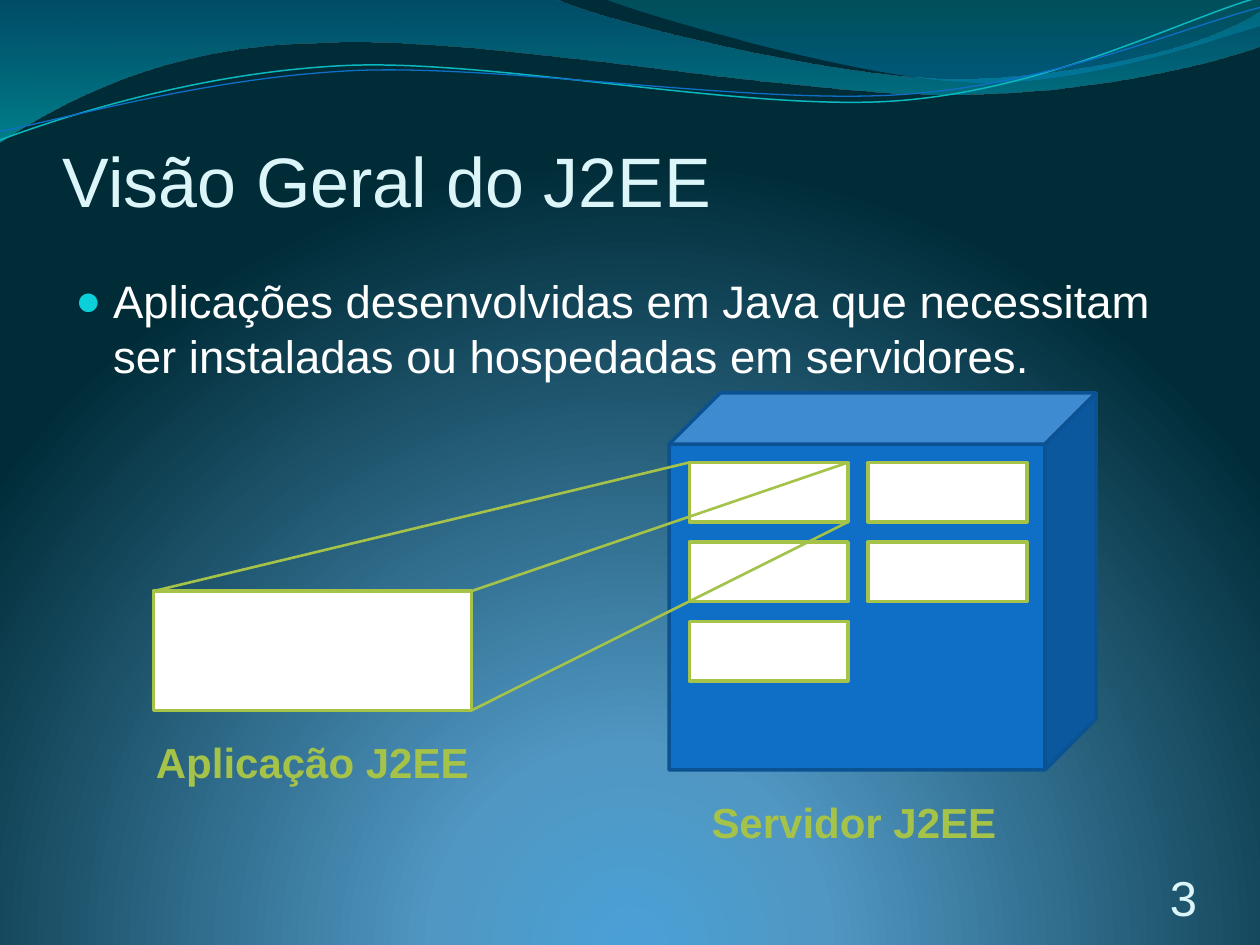
from dataclasses import dataclass
from typing import NamedTuple
from lxml.etree import SubElement
from pptx import Presentation
from pptx.dml.color import RGBColor
from pptx.enum.shapes import MSO_CONNECTOR, MSO_SHAPE
from pptx.enum.text import MSO_ANCHOR, MSO_AUTO_SIZE, PP_ALIGN
from pptx.oxml.ns import qn
from pptx.util import Pt


@dataclass(frozen=True)
class Theme:
    font: str = "Arial"
    white: str = "FFFFFF"
    pale: str = "DBF5F9"
    green: str = "A5C249"
    blue: str = "0F6FC6"
    navy: str = "0B5292"
    aqua: str = "0AB8BF"
    bullet: str = "0BD0D9"
    glow: tuple = ((0, "4AA0D6", 100), (25, "5097C3", 100), (100, "002C38", 100))
    wide: tuple = ((0, "0074A1", 45), (100, "00C6CF", 55))
    crest: tuple = ((0, "00A1A9", 30), (80, "008BBF", 45))
    head: int = 40
    body: int = 26
    label: int = 24
    page: int = 28


class Box(NamedTuple):
    x: float
    y: float
    w: float
    h: float

    def corner(self, right, low):
        return self.x + right * self.w, self.y + low * self.h

    def pts(self):
        return [Pt(v) for v in self]


T = Theme()

# Each outline is a start point, then steps: one point is a line, three are a curve.
WIDE = [(0, -0.7), [(317, -0.7)], [(343, 12), (478, 45), (546, 45)],
        [(614, 45), (690, 27), (720, 6.5)], [(720.7, 26)],
        [(708, 32), (626, 55), (537, 54)], [(448, 54), (275, 20), (185, 24.5)],
        [(93, 25), (33, 60), (-0.7, 81.4)]]
CREST = [(345, -0.7), [(366, 8), (491, 45), (554, 47)],
         [(616, 50), (692, 23), (720, 15)], [(720, 0)]]
UPPER = [(0, 80), [(35, 67), (114, 41), (199, 37.4)],
         [(284, 34), (427, 64), (513, 57.6)], [(600, 51), (675, 11), (719, -1.4)]]
LOWER = [(0, 75), [(34, 69), (118, 44), (204, 40.3)],
         [(290, 37), (430, 60), (516, 54)], [(602, 48), (678, 15), (720, 4.3)]]


def color(code):
    return RGBColor.from_string(code)


def blend(fill, root, stops, center=None):
    """Put a gradient in place of the fill: downward, or round if given a center."""
    fill.solid()
    old = root.find(".//" + qn("a:solidFill"))
    grad = old.makeelement(qn("a:gradFill"), {"rotWithShape": "1"})
    group = SubElement(grad, qn("a:gsLst"))
    for place, code, alpha in stops:
        stop = SubElement(group, qn("a:gs"), pos=str(place * 1000))
        tint = SubElement(stop, qn("a:srgbClr"), val=code)
        if alpha < 100:
            SubElement(tint, qn("a:alpha"), val=str(alpha * 1000))
    if center:
        ring = SubElement(grad, qn("a:path"), {"path": "circle"})
        sides = {k: str(v * 1000) for k, v in zip("ltrb", center)}
        SubElement(ring, qn("a:fillToRect"), sides)
    else:
        SubElement(grad, qn("a:lin"), ang="5400000", scaled="1")
    old.getparent().replace(old, grad)


def wave(slide, outline, closed):
    """Build an outline from its end points, then bend the curved steps."""
    first, *steps = outline
    maker = slide.shapes.build_freeform(Pt(first[0]), Pt(first[1]))
    maker.add_line_segments([(Pt(x), Pt(y)) for x, y in (s[-1] for s in steps)],
                            close=closed)
    shape = maker.convert_to_shape()
    shape.shadow.inherit = False
    lines = list(shape.element.iter(qn("a:lnTo")))
    for step, line in zip(steps, lines):
        if len(step) == 3:
            curve = line.makeelement(qn("a:cubicBezTo"), {})
            for x, y in step:
                SubElement(curve, qn("a:pt"), x=str(Pt(x) - shape.left),
                           y=str(Pt(y) - shape.top))
            line.getparent().replace(line, curve)
    return shape


def backdrop(slide):
    blend(slide.background.fill, slide.element, T.glow, (10, 180, 10, 50))
    for outline, stops in ((WIDE, T.wide), (CREST, T.crest)):
        shape = wave(slide, outline, True)
        blend(shape.fill, shape.element, stops)
        shape.line.fill.background()
    for outline, code, width in ((UPPER, T.aqua, 0.85), (LOWER, T.blue, 0.75)):
        shape = wave(slide, outline, False)
        shape.fill.background()
        pen(shape.line, code, width)


def pen(line, code, width):
    line.color.rgb = color(code)
    line.width = Pt(width)


def block(slide, box, fill, edge, kind=MSO_SHAPE.RECTANGLE):
    shape = slide.shapes.add_shape(kind, *box.pts())
    shape.shadow.inherit = False
    shape.fill.solid()
    shape.fill.fore_color.rgb = color(fill)
    pen(shape.line, edge, 2)
    return shape


def write(slide, box, text, size, code, bold=False, inset=None, anchor=MSO_ANCHOR.TOP):
    """Add a one-paragraph text box; inset is left, top, right, bottom."""
    frame = slide.shapes.add_textbox(*box.pts()).text_frame
    frame.word_wrap = True
    frame.vertical_anchor = anchor
    if inset:
        (frame.margin_left, frame.margin_top,
         frame.margin_right, frame.margin_bottom) = [Pt(v) for v in inset]
    para = frame.paragraphs[0]
    para.text = text
    font = para.font
    font.name, font.size, font.bold = T.font, Pt(size), bold
    font.color.rgb = color(code)
    return frame


def point(slide, box, text):
    """Add a bulleted paragraph."""
    para = write(slide, box, text, T.body, T.white).paragraphs[0]
    para.space_before = Pt(T.body * 0.2)
    props = para._p.get_or_add_pPr()
    props.set("marL", str(Pt(21.6)))
    props.set("indent", str(-Pt(21.6)))
    tint = props.makeelement(qn("a:buClr"), {})
    SubElement(tint, qn("a:srgbClr"), val=T.bullet)
    size = props.makeelement(qn("a:buSzPct"), {"val": "95000"})
    face = props.makeelement(qn("a:buFont"), {"typeface": T.font})
    mark = props.makeelement(qn("a:buChar"), {"char": "●"})
    spot = list(props).index(props.find(qn("a:defRPr")))
    props[spot:spot] = [tint, size, face, mark]


def label(slide, box, text):
    frame = write(slide, box, text, T.label, T.green, bold=True)
    frame.word_wrap = False
    frame.auto_size = MSO_AUTO_SIZE.SHAPE_TO_FIT_TEXT


def server(slide, box, count=5):
    """Draw the server with its slots, two a row; return the first slot's box."""
    cube = block(slide, box, T.blue, T.navy, MSO_SHAPE.CUBE)
    cube.adjustments[0] = 0.136
    slots = []
    for i in range(count):
        row, col = divmod(i, 2)
        slots.append(Box(box.x + 11.5 + col * 102.2, box.y + 39.8 + row * 45.4, 90.7, 34))
        block(slide, slots[-1], T.white, T.green)
    label(slide, Box(box.x + 17.1, box.y + box.h + 11.5, 178.6, 36.7), "Servidor J2EE")
    return slots[0]


def client(slide, box, slot):
    """Draw the application and the lines that project it onto its slot."""
    block(slide, box, T.white, T.green)
    for corner in ((0, 0), (1, 1), (1, 0)):
        ends = [Pt(v) for v in box.corner(*corner) + slot.corner(*corner)]
        line = slide.shapes.add_connector(MSO_CONNECTOR.STRAIGHT, *ends)
        pen(line.line, T.green, 1.5)
        SubElement(line.element.spPr, qn("a:effectLst"))
    label(slide, Box(box.x - 5.8, box.y + box.h + 11.5, 195.1, 36.7), "Aplicação J2EE")


def main():
    deck = Presentation()
    deck.slide_width, deck.slide_height = Pt(720), Pt(540)
    slide = deck.slides.add_slide(deck.slide_layouts[6])
    backdrop(slide)
    write(slide, Box(36, 55.5, 648, 90), "Visão Geral do J2EE", T.head, T.pale,
          inset=(0, 3.6, 0, 0), anchor=MSO_ANCHOR.MIDDLE)
    point(slide, Box(36, 152.6, 648, 345.6), "Aplicações desenvolvidas em Java que "
          "necessitam ser instaladas ou hospedadas em servidores.")
    slot = server(slide, Box(382.4, 224.5, 244, 215.5))
    client(slide, Box(87.8, 337.8, 181.6, 68.2), slot)
    page = write(slide, Box(624, 500.5, 60, 28.8), "3", T.page, T.pale,
                 inset=(0, 0, 0, 0), anchor=MSO_ANCHOR.BOTTOM)
    page.paragraphs[0].alignment = PP_ALIGN.RIGHT
    deck.save("out.pptx")


if __name__ == "__main__":
    main()
